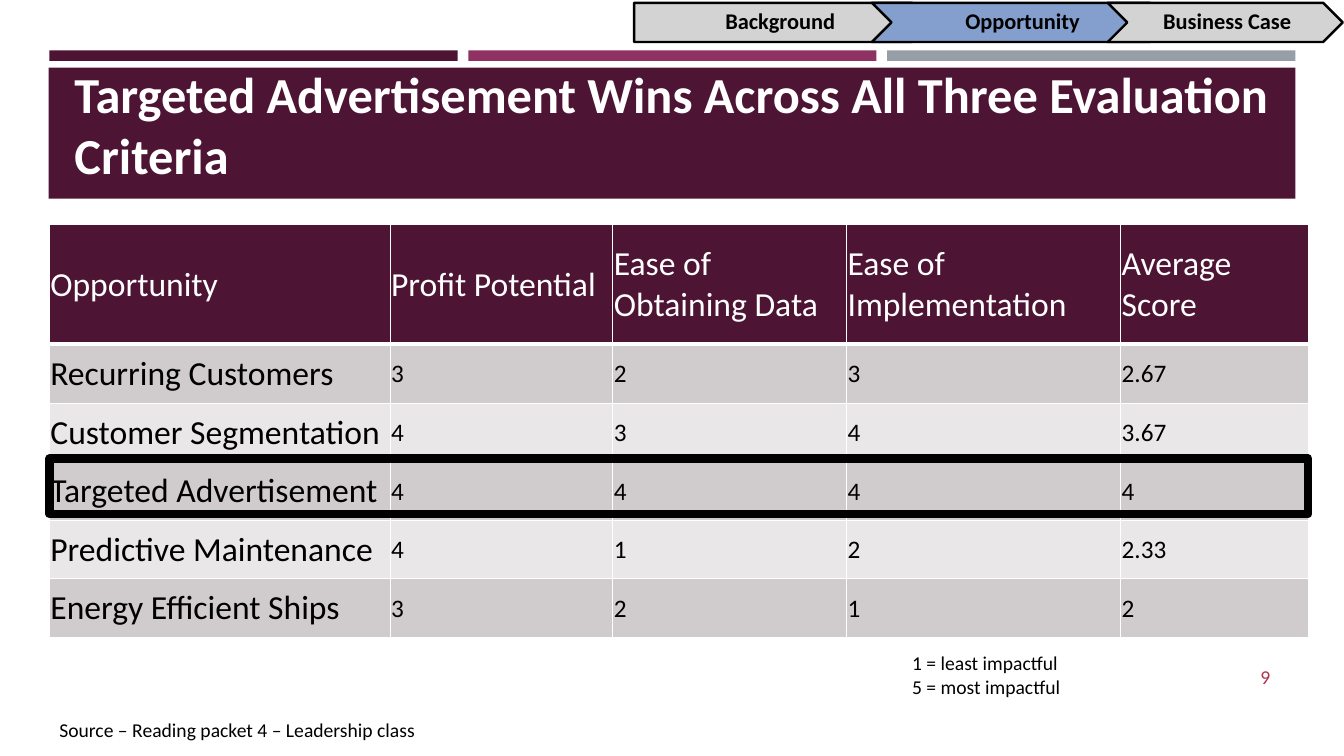
import pptx
import pptx.dml.color
import pptx.enum.shapes
import pptx.enum.text
import pptx.oxml
import pptx.oxml.ns
import pptx.util

Pt = pptx.util.Pt
SHAPES = pptx.enum.shapes.MSO_SHAPE
ALIGN = pptx.enum.text.PP_ALIGN
ANCHOR = pptx.enum.text.MSO_ANCHOR

PLUM, GREY, WHITE, BLACK = "4D1434", "D3D3D3", "FFFFFF", "000000"
BODY_FILLS = ("D0CCCE", "E9E7E8")
COLUMN_WIDTHS = (243.4, 159.1, 167, 195.8, 133.9)
ROW_HEIGHTS = (85, 42.5, 41.8, 41.8, 41.8, 41.8)
SCORES = (
    ("Opportunity", "Profit Potential", "Ease of Obtaining Data",
     "Ease of Implementation", "Average Score"),
    ("Recurring Customers", "3", "2", "3", "2.67"),
    ("Customer Segmentation", "4", "3", "4", "3.67"),
    ("Targeted Advertisement", "4", "4", "4", "4"),
    ("Predictive Maintenance", "4", "1", "2", "2.33"),
    ("Energy Efficient Ships", "3", "2", "1", "2"),
)


def color(hex_string):
    return pptx.dml.color.RGBColor.from_string(hex_string)


def format_text(text_frame, size, hex_string, bold=False, align=None):
    for paragraph in text_frame.paragraphs:
        if align is not None:
            paragraph.alignment = align
        for run in paragraph.runs:
            run.font.name = "Calibri"
            run.font.size = Pt(size)
            run.font.bold = bold
            run.font.color.rgb = color(hex_string)


def set_insets(holder, left, top, right, bottom):
    """Set the margins of a text frame or a table cell."""
    holder.margin_left, holder.margin_top = Pt(left), Pt(top)
    holder.margin_right, holder.margin_bottom = Pt(right), Pt(bottom)


def add_block(slide, preset, box, fill=None, line=None, line_width=1):
    shape = slide.shapes.add_shape(preset, *map(Pt, box))
    shape.shadow.inherit = False
    if fill:
        shape.fill.solid()
        shape.fill.fore_color.rgb = color(fill)
    else:
        shape.fill.background()
    if line:
        shape.line.color.rgb = color(line)
        shape.line.width = Pt(line_width)
    else:
        shape.line.fill.background()
    return shape


def add_label(slide, box, text, size, hex_string=BLACK, bold=False,
              align=None, anchor=ANCHOR.TOP):
    text_frame = slide.shapes.add_textbox(*map(Pt, box)).text_frame
    text_frame.word_wrap = True
    text_frame.vertical_anchor = anchor
    text_frame.text = text
    format_text(text_frame, size, hex_string, bold, align)
    return text_frame


def add_title_band(slide, left, top, width):
    stripe_width, pitch = 291.6, 299.2
    for index, fill in enumerate((PLUM, "903163", "969FA7")):
        box = (left + 0.5 + index * pitch, top, stripe_width, 7.5)
        add_block(slide, SHAPES.RECTANGLE, box, fill)
    add_block(slide, SHAPES.RECTANGLE, (left, top + 12.3, width, 93.6), PLUM)
    add_label(slide, (left + 11.3, top + 19.4, width - 22.4, 79.9),
              "Targeted Advertisement Wins Across All Three Evaluation Criteria",
              36, WHITE, bold=True, anchor=ANCHOR.BOTTOM)


def set_cell_borders(cell, bottom_width):
    properties = cell._tc.get_or_add_tcPr()
    widths = {"lnL": 1, "lnR": 1, "lnT": 1, "lnB": bottom_width}
    for position, (tag, width) in enumerate(widths.items()):
        border = pptx.oxml.parse_xml(
            f'<a:{tag} {pptx.oxml.ns.nsdecls("a")} w="{Pt(width)}">'
            f'<a:solidFill><a:srgbClr val="{WHITE}"/></a:solidFill></a:{tag}>')
        properties.insert(position, border)


def add_score_table(slide, left, top):
    """Place the score table and the frame around its winning row."""
    width = sum(COLUMN_WIDTHS)
    table = slide.shapes.add_table(
        len(SCORES), len(COLUMN_WIDTHS), Pt(left), Pt(top),
        Pt(width), Pt(sum(ROW_HEIGHTS))).table
    for column, column_width in zip(table.columns, COLUMN_WIDTHS):
        column.width = Pt(column_width)
    for row_index, (row, height) in enumerate(zip(table.rows, ROW_HEIGHTS)):
        row.height = Pt(height)
        header = row_index == 0
        for column_index, cell in enumerate(row.cells):
            cell.text = SCORES[row_index][column_index]
            cell.vertical_anchor = ANCHOR.MIDDLE
            set_insets(cell, 0.7, 0.7, 0.7, 0)
            cell.fill.solid()
            cell.fill.fore_color.rgb = color(
                PLUM if header else BODY_FILLS[(row_index - 1) % 2])
            format_text(cell.text_frame,
                        24 if header or column_index == 0 else 18,
                        WHITE if header else BLACK)
            set_cell_borders(cell, 3 if header else 1)
    add_block(slide, SHAPES.RECTANGLE, (left, top + 167, width, 39.6),
              line=BLACK, line_width=6)


def add_progress_steps(slide, top, height):
    # Name, preset, fill, left, width, label offset, label width
    steps = (
        ("Background", SHAPES.PENTAGON, GREY, 452.9, 212.4, 0, 205.2),
        ("Opportunity", SHAPES.CHEVRON, "849ECD", 622.8, 212.4, 13.7, 184.3),
        ("Business Case", SHAPES.CHEVRON, GREY, 791.3, 167.8, 13.7, 139.7),
    )
    for name, preset, fill, left, width, offset, label_width in steps:
        add_block(slide, preset, (left, top, width, height), fill, BLACK, 1.75)
        text_frame = add_label(
            slide, (left + offset, top, label_width, height), name, 16,
            bold=True, align=ALIGN.CENTER, anchor=ANCHOR.MIDDLE)
        set_insets(text_frame, 5, 3.6, 1.4, 3.6)
        text_frame.paragraphs[0].line_spacing = 0.9
        text_frame.paragraphs[0].space_after = Pt(5.6)


def add_footer(slide, left, top):
    add_label(slide, (left + 796.3, top + 7.2, 82.8, 28.8), "9", 14, "B2324B",
              align=ALIGN.RIGHT, anchor=ANCHOR.MIDDLE)
    add_label(slide, (left + 609.1, top, 187.2, 41),
              "1 = least impactful\n5 = most impactful", 14)
    source = add_label(slide, (left, top + 43.9, 371.5, 28.8),
                       "Source – Reading packet 4 – Leadership class", 14)
    closing_space = source.paragraphs[0].add_run()
    closing_space.text = " "
    closing_space.font.size = Pt(18)


def main():
    presentation = pptx.Presentation()
    presentation.slide_width, presentation.slide_height = Pt(960), Pt(540)
    slide = presentation.slides.add_slide(presentation.slide_layouts[6])
    add_title_band(slide, 34.8, 36, 890.6)
    add_score_table(slide, 35.3, 160.6)
    add_footer(slide, 35.3, 461.5)
    add_progress_steps(slide, 2, 28)
    presentation.save("out.pptx")


if __name__ == "__main__":
    main()
